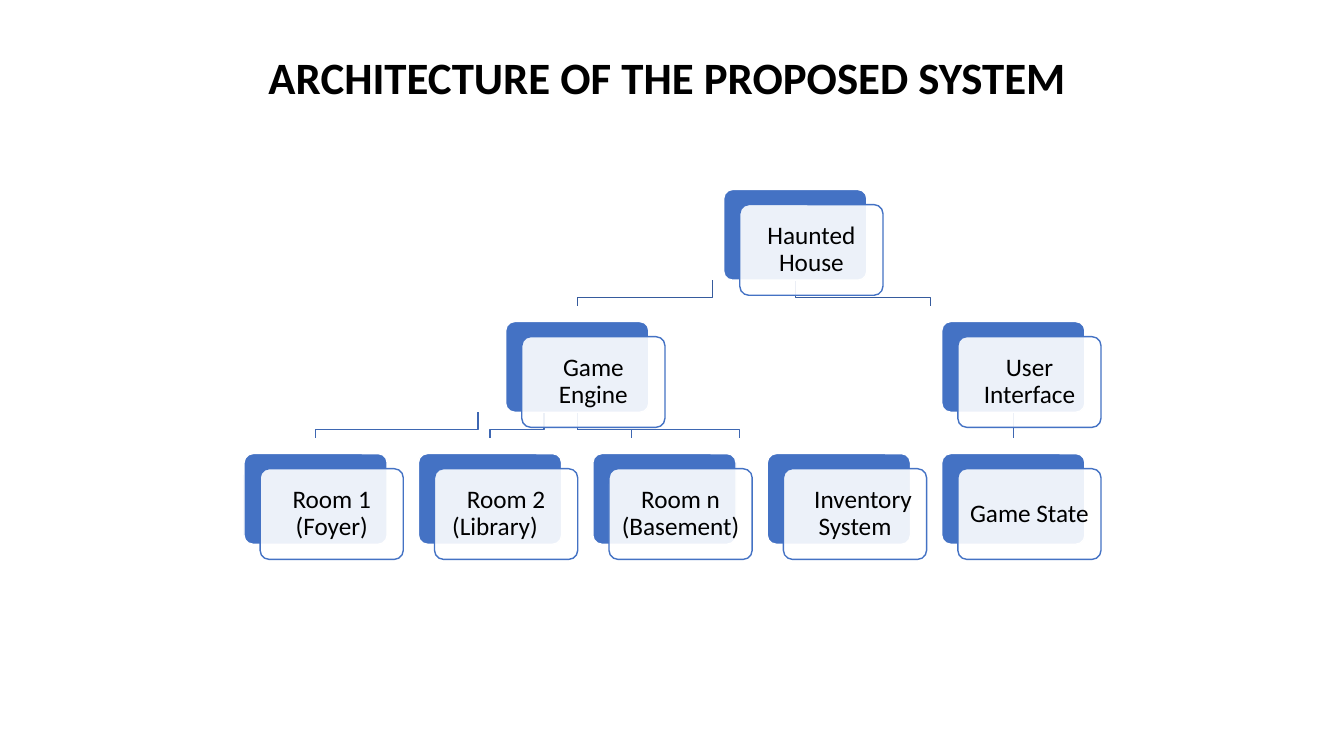
from dataclasses import dataclass

from lxml import etree
from pptx import Presentation
from pptx.dml.color import RGBColor
from pptx.enum.shapes import MSO_CONNECTOR, MSO_SHAPE
from pptx.enum.text import MSO_ANCHOR, PP_ALIGN
from pptx.oxml.ns import qn
from pptx.util import Inches, Pt

ROUNDED = MSO_SHAPE.ROUNDED_RECTANGLE
STRAIGHT = MSO_CONNECTOR.STRAIGHT
MIDDLE = MSO_ANCHOR.MIDDLE
CENTER = PP_ALIGN.CENTER
BOTTOM_SIDE = 2


@dataclass(frozen=True)
class Theme:
    font: str = "Calibri"
    title_size: int = 32
    card_size: int = 18
    line_width: int = 1
    text: str = "000000"
    blue: str = "4472C4"
    white: str = "FFFFFF"
    front_opacity: int = 90
    top_link: str = "365B9D"
    lower_link: str = "3E67B2"


@dataclass(frozen=True)
class Card:
    label: str
    column: float
    row: int
    first_indent: float = 0
    right_margin: float = 0


@dataclass(frozen=True)
class Link:
    parent: Card
    child: Card
    color: str


THEME = Theme()

# Grid, in inches
LEFT, TOP = 2.42, 1.88
COLUMN, ROW = 1.73, 1.31
CARD_W, CARD_H = 1.42, 0.9
FRONT_DX, FRONT_DY = 0.16, 0.15
LINK_SHARE = 0.62  # drawn share of the way from parent to child
LINK_BEND = 0.17

# Tree content
HOUSE = Card("Haunted House", 2.75, 0)
ENGINE = Card("Game Engine", 1.5, 1, first_indent=-0.12)
INTERFACE = Card("User Interface", 4, 1)
FOYER = Card("Room 1 (Foyer)", 0, 2)
LIBRARY = Card("Room 2 (Library)", 1, 2, first_indent=0.22, right_margin=0.22)
BASEMENT = Card("Room n (Basement)", 2, 2)
INVENTORY = Card("Inventory System", 3, 2, first_indent=0.16)
STATE = Card("Game State", 4, 2)
CARDS = [HOUSE, ENGINE, FOYER, LIBRARY, BASEMENT, INVENTORY, INTERFACE, STATE]
LINKS = [
    Link(HOUSE, ENGINE, THEME.top_link),
    Link(HOUSE, INTERFACE, THEME.top_link),
    *(Link(ENGINE, room, THEME.lower_link)
      for room in (FOYER, LIBRARY, BASEMENT, INVENTORY)),
    Link(INTERFACE, STATE, THEME.lower_link),
]


def card_left(card: Card) -> float:
    return LEFT + card.column * COLUMN


def card_top(card: Card) -> float:
    return TOP + card.row * ROW


def set_line(line, color: str) -> None:
    line.color.rgb = RGBColor.from_string(color)
    line.width = Pt(THEME.line_width)


def write(frame, text: str, size: int, spacing: float, bold: bool = False):
    frame.word_wrap = True
    frame.vertical_anchor = MIDDLE
    frame.text = text
    paragraph = frame.paragraphs[0]
    paragraph.alignment = CENTER
    paragraph.line_spacing = spacing
    font = paragraph.runs[0].font
    font.name, font.size, font.bold = THEME.font, Pt(size), bold
    font.color.rgb = RGBColor.from_string(THEME.text)
    return paragraph


def add_panel(slide, left: float, top: float, fill: str, outline: str):
    panel = slide.shapes.add_shape(
        ROUNDED, Inches(left), Inches(top), Inches(CARD_W), Inches(CARD_H))
    panel.adjustments[0] = 0.1
    panel.shadow.inherit = False
    panel.fill.solid()
    panel.fill.fore_color.rgb = RGBColor.from_string(fill)
    set_line(panel.line, outline)
    return panel


def add_card(slide, card: Card):
    left, top = card_left(card), card_top(card)
    back = add_panel(slide, left, top, THEME.blue, THEME.white)
    front = add_panel(slide, left + FRONT_DX, top + FRONT_DY, THEME.white, THEME.blue)
    white = front.fill._xPr.find(qn("a:solidFill")).find(qn("a:srgbClr"))
    etree.SubElement(white, qn("a:alpha"), val=str(THEME.front_opacity * 1000))

    frame = front.text_frame
    frame.margin_left = frame.margin_right = Inches(0.07)
    frame.margin_top = frame.margin_bottom = Inches(0.07)
    paragraph = write(frame, card.label, THEME.card_size, 0.9)
    if card.first_indent:
        properties = paragraph._p.get_or_add_pPr()
        properties.set("marL", "0")
        properties.set("marR", str(Inches(card.right_margin)))
        properties.set("indent", str(Inches(card.first_indent)))
    return back


def add_link(slide, link: Link, parent_panel) -> None:
    parent_x, child_x = (card_left(c) + CARD_W / 2 for c in (link.parent, link.child))
    start_y = card_top(link.parent) + CARD_H
    end_y = start_y + (ROW - CARD_H) * LINK_SHARE
    if parent_x == child_x:
        branch = slide.shapes.add_connector(
            STRAIGHT, Inches(parent_x), Inches(start_y), Inches(child_x), Inches(end_y))
        branch.begin_connect(parent_panel, BOTTOM_SIDE)
        etree.SubElement(branch._element.spPr, qn("a:effectLst"))
    else:
        span = abs(child_x - parent_x) * LINK_SHARE
        if child_x < parent_x:
            start_x, end_x = child_x + span, child_x
        else:
            start_x, end_x = parent_x, parent_x + span
        bend_y = start_y + LINK_BEND
        builder = slide.shapes.build_freeform(Inches(start_x), Inches(start_y))
        corners = [(start_x, bend_y), (end_x, bend_y), (end_x, end_y)]
        builder.add_line_segments(
            [(Inches(x), Inches(y)) for x, y in corners], close=False)
        branch = builder.convert_to_shape()
        branch.fill.background()
        branch.shadow.inherit = False
    set_line(branch.line, link.color)
    # Links lie behind the cards
    slide.shapes._spTree.insert(2, branch._element)


def main() -> None:
    deck = Presentation()
    deck.slide_width, deck.slide_height = Inches(13.33), Inches(7.5)
    slide = deck.slides.add_slide(deck.slide_layouts[6])

    # Title
    title = slide.shapes.add_textbox(Inches(2.17), Inches(0.21), Inches(9), Inches(0.83))
    write(title.text_frame, "ARCHITECTURE OF THE PROPOSED SYSTEM ",
          THEME.title_size, 1.5, bold=True)

    # Cards and the links between them
    panels = {card: add_card(slide, card) for card in CARDS}
    for link in LINKS:
        add_link(slide, link, panels[link.parent])

    deck.save("out.pptx")


if __name__ == "__main__":
    main()
